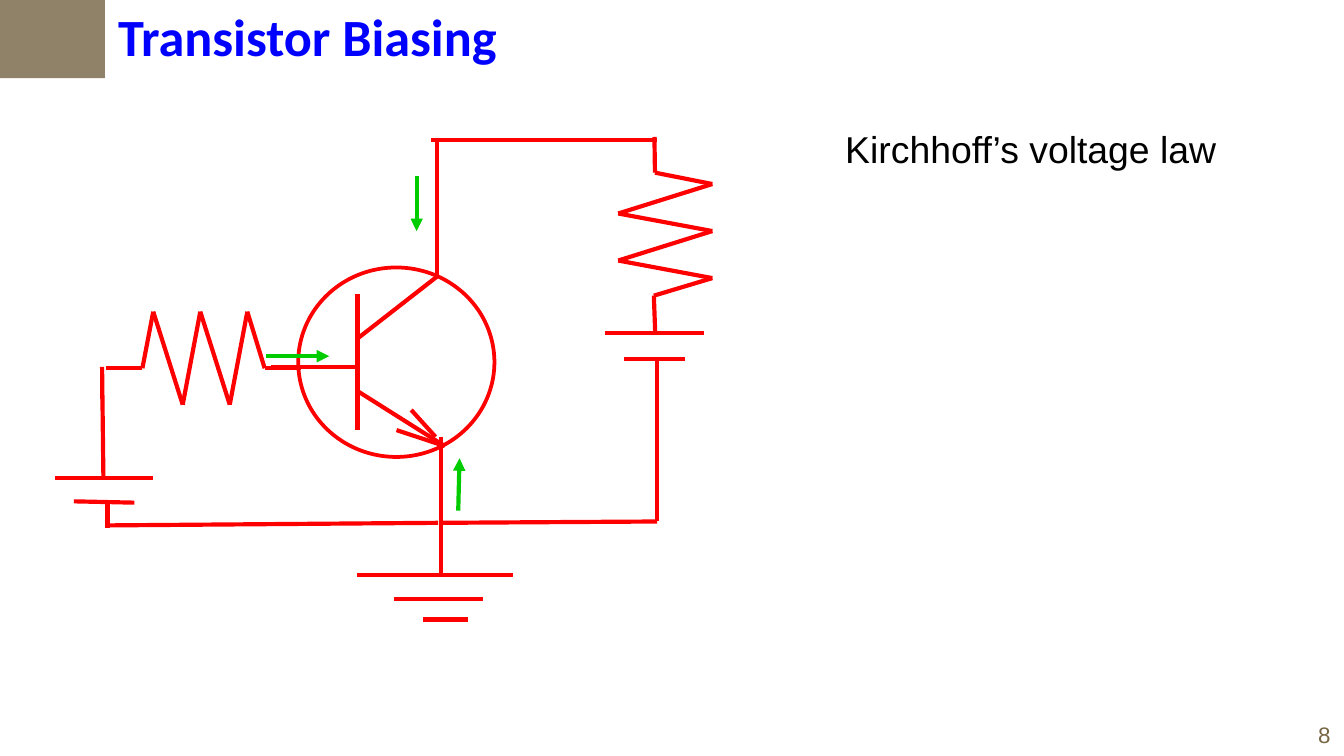
from itertools import pairwise
from lxml.etree import SubElement
from pptx import Presentation
from pptx.dml.color import RGBColor
from pptx.enum.shapes import MSO_CONNECTOR as Conn, MSO_SHAPE as Shape
from pptx.enum.text import MSO_AUTO_SIZE as Auto
from pptx.oxml.ns import qn
from pptx.util import Pt

RED, GREEN = "FF0000", "00CC00"


def rgb(value):
    return RGBColor.from_string(value)


class Sketch:
    def __init__(self, slide, width=2.25):
        self.slide = slide
        self.width = width

    def text(self, box, words, color, **fmt):
        sp = self.slide.shapes.add_textbox(*map(Pt, box))
        tf = sp.text_frame
        tf.word_wrap = False
        tf.auto_size = Auto.SHAPE_TO_FIT_TEXT
        r = tf.paragraphs[0].add_run()
        r.text = words
        r.font.color.rgb = rgb(color)
        for key, value in fmt.items():
            setattr(r.font, key, value)

    def shape(self, kind, box, fill=None, line=None, width=2, rotation=0, group=None):
        sp = (group or self.slide).shapes.add_shape(kind, *map(Pt, box))
        sp.shadow.inherit = False
        sp.rotation = rotation
        if fill:
            sp.fill.solid()
            sp.fill.fore_color.rgb = rgb(fill)
        else:
            sp.fill.background()
        if line:
            sp.line.color.rgb = rgb(line)
            sp.line.width = Pt(width)
        else:
            sp.line.fill.background()

    def line(self, start, end, color=RED, arrow=False, group=None):
        shapes = (group or self.slide).shapes
        sp = shapes.add_connector(Conn.STRAIGHT, *map(Pt, (*start, *end)))
        sp.line.color.rgb = rgb(color)
        sp.line.width = Pt(self.width)
        if arrow:
            SubElement(sp.line._get_or_add_ln(), qn("a:tailEnd"), type="triangle")
        SubElement(sp._element.spPr, qn("a:effectLst"))

    def lines(self, segments, group=None):
        for start, end in segments:
            self.line(start, end, group=group)

    def resistor(self, points):
        self.lines(pairwise(points), self.slide.shapes.add_group_shape())

    def transistor(self, box, segments):
        group = self.slide.shapes.add_group_shape()
        self.shape(Shape.OVAL, box, line=RED, group=group)
        self.lines(segments, group)


def zigzag(start, step, low, high):
    return [pt for i in range(3) for pt in ((start + i * step, high), (start + 15.8 + i * step, low))][:5]


def main():
    prs = Presentation()
    prs.slide_width, prs.slide_height = Pt(720), Pt(405)
    s = Sketch(prs.slides.add_slide(prs.slide_layouts[6]))

    s.text((699.1, 383, 20.9, 21.6), "8", "786745", name="Arial", size=Pt(12))
    s.text((56.2, -1.4, 261.4, 41), "Transistor Biasing", "0000FF",
           name="Calibri", size=Pt(28), bold=True)
    s.shape(Shape.RECTANGLE, (6.5, -7.9, 43.2, 56.2), fill="908269", rotation=270)

    s.transistor((159.8, 143.3, 105.1, 101.5), [
        ((191.5, 157.7), (191.5, 230.4)),
        ((234, 148.3), (191.5, 181.4)),
        ((238.3, 239), (191.5, 209.5)),
        ((238.3, 239), (212.4, 230.4)),
        ((233.3, 234), (220.3, 219.6)),
        ((236.2, 234), (236.2, 307.4)),
        ((145.4, 196.6), (190.1, 196.6)),
    ])

    base_zigzag = zigzag(82.1, 25.2, 216.8, 167)
    s.resistor([(56.9, 197.3), (76.3, 197.3), *base_zigzag, (141.8, 197.3), (161.3, 197.3)])
    load_zigzag = [(x, y) for y, x in zigzag(98.6, 25.2, 331.2, 381.6)]
    s.resistor([(350.6, 73.4), (350.9, 92.5), *load_zigzag, (350.3, 158.4), (351, 177.8)])

    ground = [((191.5, 308.2), (275, 308.2)),
              ((211, 321.1), (258.5, 321.1)),
              ((226.8, 331.9), (250.6, 331.9))]
    base_battery = [((29.5, 256.3), (82.1, 256.3)),
                    ((39.6, 268.6), (72, 269.3))]
    load_battery = [((324, 178.6), (377.3, 178.6)),
                    ((334.1, 192.2), (367.2, 192.2))]
    wires = [((234, 76.3), (234, 149)),
             ((231.1, 74.9), (352.1, 74.9)),
             ((352.1, 192.2), (352.1, 279.4)),
             ((236.9, 280.1), (352.1, 279.4)),
             ((56.9, 281.5), (234.7, 280.1)),
             ((57.6, 268.6), (57.6, 283)),
             ((54.7, 196.6), (55.4, 255.6)),
             ((54.7, 196.6), (54.7, 213.8))]
    for part in (ground, base_battery, load_battery, wires):
        s.lines(part)

    currents = [((223.2, 94.3), (223.2, 123.8)),
                ((245.5, 273.6), (246.2, 245.5)),
                ((142.6, 190.8), (176.4, 190.8))]
    for start, end in currents:
        s.line(start, end, GREEN, arrow=True)

    s.text((445.7, 64.1, 215.3, 31.7), "Kirchhoff’s voltage law", "000000",
           name="Arial", size=Pt(20))
    prs.save("out.pptx")


if __name__ == "__main__":
    main()
